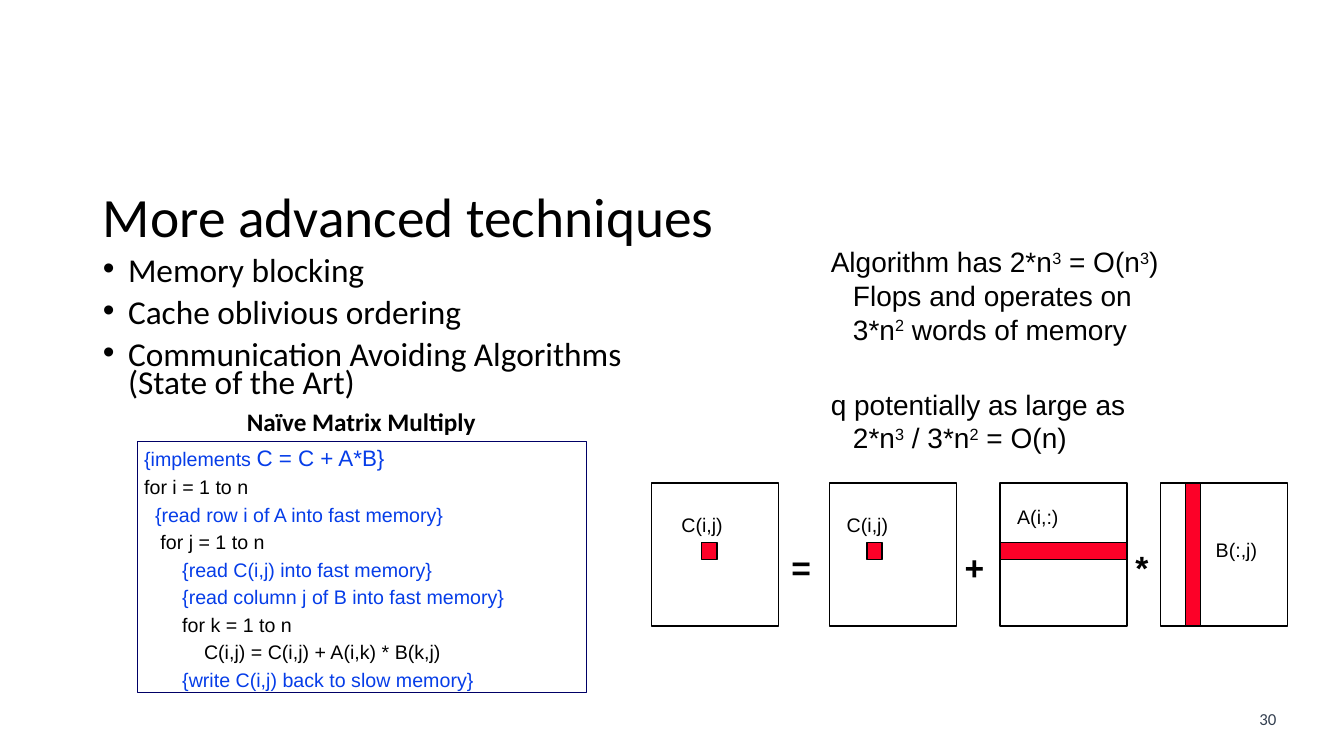
"""Build the slide on advanced techniques for matrix multiplication."""
from pptx import Presentation
from pptx.dml.color import RGBColor
from pptx.enum.shapes import MSO_SHAPE as SHAPE
from pptx.enum.text import MSO_ANCHOR as ANCHOR, MSO_AUTO_SIZE as AUTO, PP_ALIGN as ALIGN
from pptx.util import Inches, Pt

BLACK = RGBColor(0x00, 0x00, 0x00)
BLUE = RGBColor(0x06, 0x3D, 0xE8)
NAVY = RGBColor(0x00, 0x00, 0x66)
RED = RGBColor(0xFC, 0x01, 0x28)
SLATE = RGBColor(0x33, 0x3F, 0x50)

TITLE = "More advanced techniques"
BULLETS = [
    ["Memory blocking"],
    ["Cache oblivious ordering"],
    ["Communication Avoiding Algorithms", "(State of the Art)"],
]
CODE_TITLE = "Naïve Matrix Multiply"
# Each line: indent in characters, then runs of text, size and colour
CODE = [
    (0, [("{implements ", 14, BLUE), ("C = C + A*B}", 16, BLUE)]),
    (0, [("for i = 1 to n", 14, BLACK)]),
    (2, [("{read row i of A into fast memory}", 14, BLUE)]),
    (3, [("for j = 1 to n", 14, BLACK)]),
    (7, [("{read C(i,j) into fast memory}", 14, BLUE)]),
    (7, [("{read column j of B into fast memory}", 14, BLUE)]),
    (7, [("for k = 1 to n", 14, BLACK)]),
    (11, [("C(i,j) = C(i,j) + A(i,k) * B(k,j)", 14, BLACK)]),
    (7, [("{write C(i,j) back to slow memory}", 14, BLUE)]),
]
# Each paragraph: space before, then text pieces alternating normal and superscript
COST = [
    (3, ["Algorithm has 2*n", "3", " = O(n", "3", ") Flops and operates on 3*n", "2",
         " words of memory"]),
    (29.6, ["q potentially as large as 2*n", "3", " / 3*n", "2", " = O(n)"]),
]
MATRIX_TOP, MATRIX_W, MATRIX_H = 4.79, 1.26, 1.42
BAND_TOP, BAND_W, BAND_H = 5.38, 0.15, 0.17
# Each matrix: left, label, label left and top, band box
MATRICES = [
    (6.46, "C(i,j)", 6.66, 5.04, (6.96, BAND_TOP, BAND_W, BAND_H)),
    (8.23, "C(i,j)", 8.3, 5.04, (8.6, BAND_TOP, BAND_W, BAND_H)),
    (9.92, "A(i,:)", 9.99, 4.96, (9.92, BAND_TOP, MATRIX_W, BAND_H)),
    (11.51, "B(:,j)", 11.96, 5.29, (11.76, MATRIX_TOP, BAND_W, MATRIX_H)),
]
OPERATORS = [("=", 7.75, 0.59), ("+", 9.47, 0.3), ("*", 11.18, 0.18)]
SPACE_W = 0.054
HANG = 0.22


def place(sp, box):
    sp.left, sp.top, sp.width, sp.height = map(Inches, box)


def add_run(p, text, size, color=BLACK, font="Arial", bold=False):
    r = p.add_run()
    r.text = text
    r.font.size, r.font.name, r.font.bold = Pt(size), font, bold
    r.font.color.rgb = color
    return r


def indent(p, left, first):
    pPr = p._p.get_or_add_pPr()
    pPr.set("marL", str(Inches(left)))
    pPr.set("indent", str(Inches(first)))


def paragraphs(tf, items):
    for i, item in enumerate(items):
        yield (tf.add_paragraph() if i else tf.paragraphs[0]), item


def set_insets(tf):
    tf.margin_left = tf.margin_right = Inches(0.07)
    tf.margin_top = tf.margin_bottom = Inches(0.03)


def add_text(s, box):
    tf = s.shapes.add_textbox(*map(Inches, box)).text_frame
    tf.word_wrap = True
    return tf


def add_rect(s, box, fill=None, line=BLACK, width=1):
    sp = s.shapes.add_shape(SHAPE.RECTANGLE, *map(Inches, box))
    sp.shadow.inherit = False
    if fill is None:
        sp.fill.background()
    else:
        sp.fill.solid()
        sp.fill.fore_color.rgb = fill
    sp.line.color.rgb, sp.line.width = line, Pt(width)
    return sp


def add_outline(s):
    title, body = s.shapes.title, s.placeholders[1]
    place(title, (0.92, 1.83, 11.5, 0.7))
    place(body, (0.92, 2.53, 11.5, 1.55))
    tf = title.text_frame
    tf.auto_size, tf.vertical_anchor = AUTO.NONE, ANCHOR.MIDDLE
    p = tf.paragraphs[0]
    p.alignment, p.line_spacing = ALIGN.LEFT, 0.9
    add_run(p, TITLE, 39.6, font="Calibri")
    tf = body.text_frame
    tf.auto_size = AUTO.NONE
    for p, lines in paragraphs(tf, BULLETS):
        p.line_spacing, p.space_before = 0.7, Pt(10)
        indent(p, 0.25, -0.25)
        for i, line in enumerate(lines):
            if i:
                p.add_line_break()
            add_run(p, line, 23.8, font="Calibri")


def add_code(s):
    tf = add_rect(s, (1.36, 4.38, 4.46, 2.49), line=NAVY, width=0.75).text_frame
    tf.word_wrap, tf.vertical_anchor = True, ANCHOR.TOP
    set_insets(tf)
    for p, (depth, runs) in paragraphs(tf, CODE):
        p.alignment, p.space_before = ALIGN.LEFT, Pt(2.8)
        indent(p, depth * SPACE_W, 0)
        for text, size, color in runs:
            add_run(p, text, size, color)
    tf = add_text(s, (2.35, 3.98, 2.49, 0.4))
    tf.word_wrap = False
    add_run(tf.paragraphs[0], CODE_TITLE, 18, font="Calibri", bold=True)


def add_matrices(s):
    for left, label, label_left, label_top, band in MATRICES:
        add_rect(s, (left, MATRIX_TOP, MATRIX_W, MATRIX_H))
        add_rect(s, band, RED)
        tf = add_text(s, (label_left, label_top, 0.74, 0.33))
        add_run(tf.paragraphs[0], label, 14)
    for sign, left, width in OPERATORS:
        tf = add_text(s, (left, BAND_TOP, width, 0.5))
        add_run(tf.paragraphs[0], sign, 24, bold=True)


def add_cost(s):
    tf = add_text(s, (8.17, 2.4, 3.57, 2.18))
    set_insets(tf)
    for p, (before, pieces) in paragraphs(tf, COST):
        p.space_before = Pt(before)
        indent(p, HANG, -HANG)
        for i, piece in enumerate(pieces):
            r = add_run(p, piece, 20)
            if i % 2:
                r.font._element.set("baseline", "30000")


def main():
    prs = Presentation()
    prs.slide_width, prs.slide_height = Inches(13.33), Inches(7.5)
    s = prs.slides.add_slide(prs.slide_layouts[1])
    add_outline(s)
    add_code(s)
    add_matrices(s)
    add_cost(s)
    p = add_text(s, (12.34, 6.98, 0.47, 0.3)).paragraphs[0]
    p.alignment = ALIGN.CENTER
    add_run(p, "30", 12, SLATE, "Calibri")
    prs.save("out.pptx")


if __name__ == "__main__":
    main()
